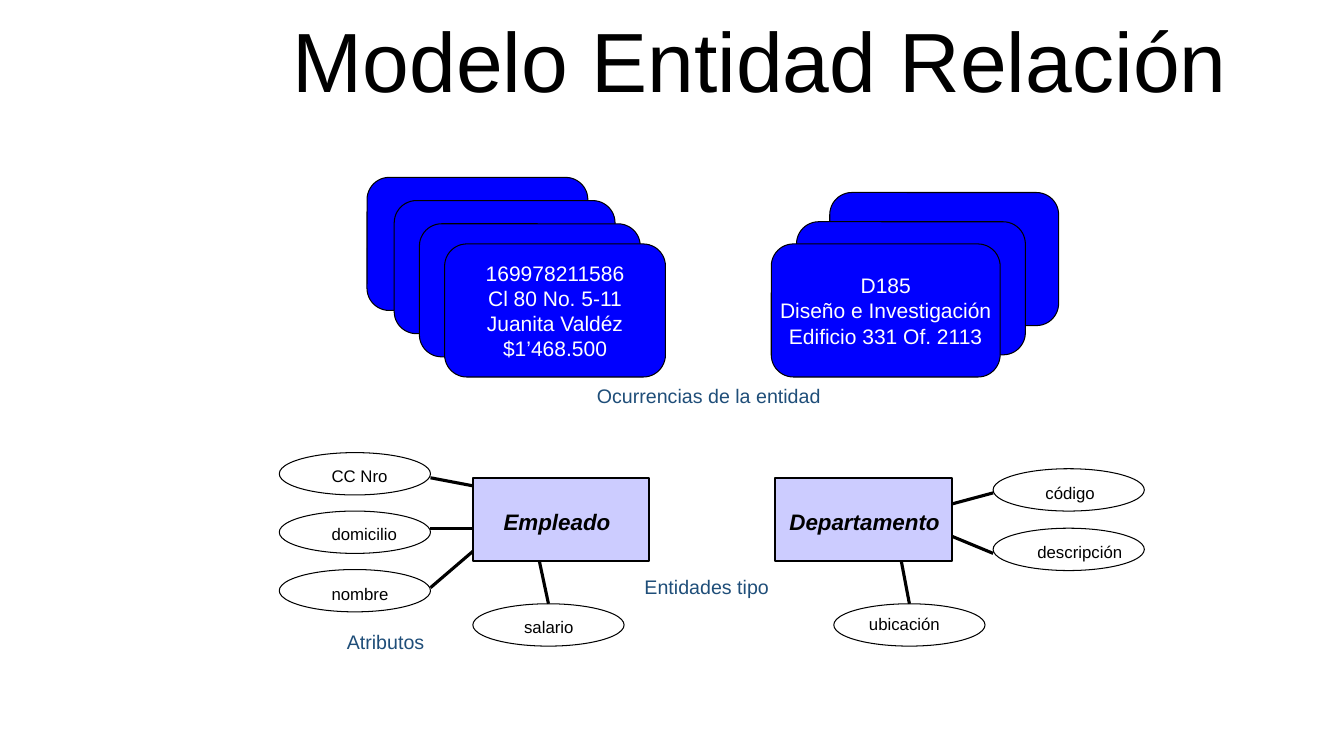
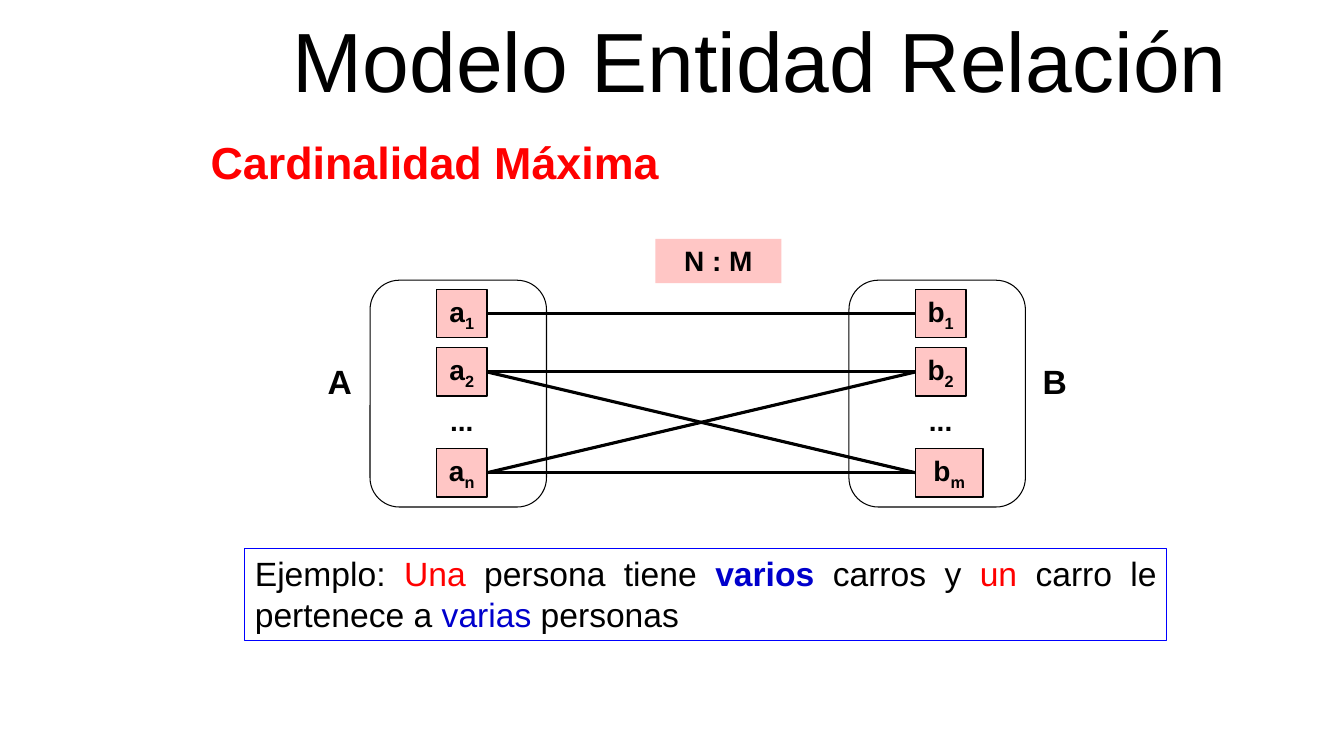
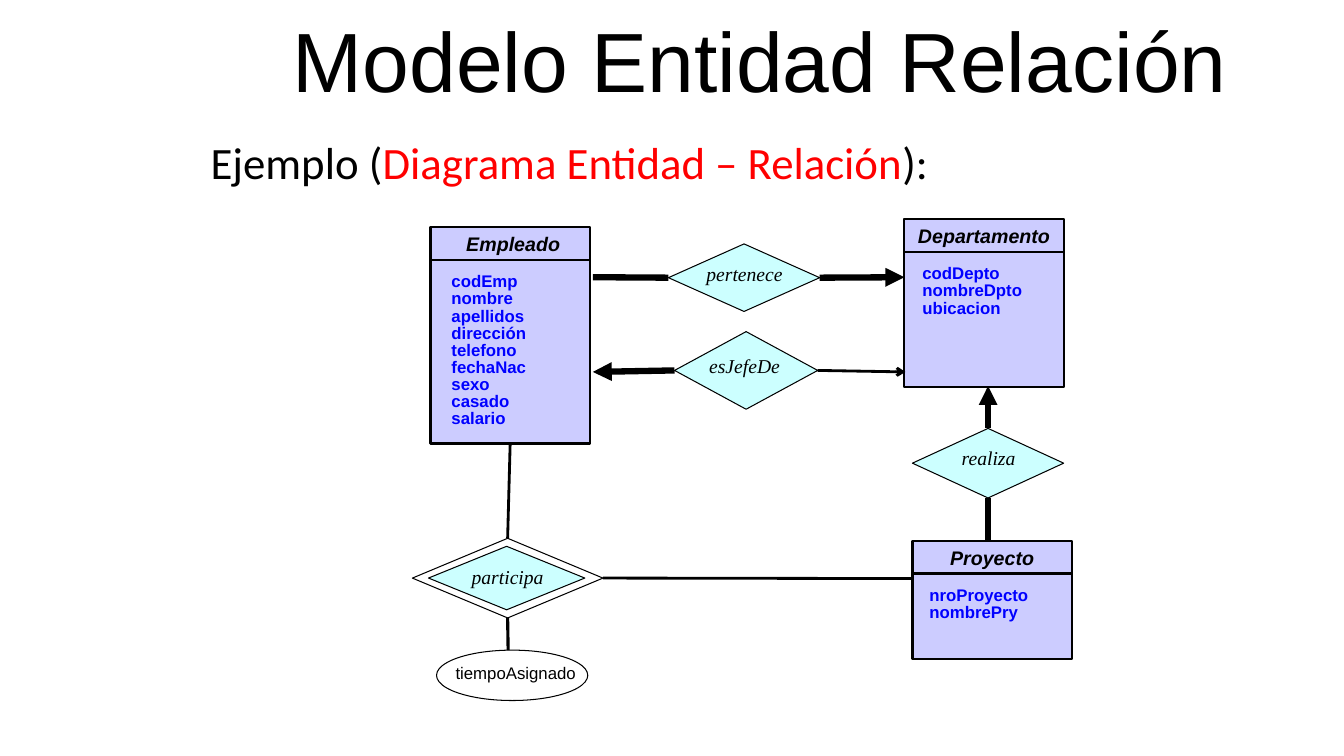
from dataclasses import dataclass, field, replace
from typing import Optional

import pptx
import pptx.dml.color
import pptx.enum.shapes
import pptx.enum.text
import pptx.oxml.ns
import pptx.util
from lxml import etree

Inches = pptx.util.Inches
Pt = pptx.util.Pt
Preset = pptx.enum.shapes.MSO_SHAPE
Align = pptx.enum.text.PP_ALIGN
Anchor = pptx.enum.text.MSO_ANCHOR
AutoSize = pptx.enum.text.MSO_AUTO_SIZE


@dataclass(frozen=True)
class TextStyle:
    size: float
    color: str = "000000"
    font: str = "Arial"
    bold: bool = False
    italic: bool = False
    align: Align = Align.CENTER
    line_spacing: Optional[float] = None


@dataclass(frozen=True)
class Theme:
    black: str = "000000"
    red: str = "FF0000"
    emphasis: str = "0000CC"
    card: str = "0000FF"
    entity: str = "CCCCFF"
    relation: str = "CCFFFF"
    member: str = "FFC6C5"
    hairline: float = 0.75
    member_line: float = 1
    entity_line: float = 1.5
    thin_link: float = 2
    link: float = 2.25
    thick_link: float = 4.5
    title: TextStyle = TextStyle(60, line_spacing=0.9)
    heading: TextStyle = TextStyle(32, red, bold=True, align=Align.LEFT)
    example_heading: TextStyle = TextStyle(32, font="Calibri", align=Align.LEFT)
    card_text: TextStyle = TextStyle(15, "FFFFFF")
    caption: TextStyle = TextStyle(14, "1F4E79")
    entity_type: TextStyle = TextStyle(16, bold=True, italic=True)
    entity_name: TextStyle = TextStyle(14, bold=True, italic=True)
    attribute: TextStyle = TextStyle(12, align=Align.LEFT)
    field_list: TextStyle = TextStyle(12, card, bold=True, align=Align.LEFT, line_spacing=0.85)
    relation_name: TextStyle = TextStyle(14, font="Times New Roman", italic=True, line_spacing=0.95)
    member_text: TextStyle = TextStyle(20, bold=True)
    set_name: TextStyle = TextStyle(24, bold=True)
    example: TextStyle = TextStyle(24, align=Align.JUSTIFY)


THEME = Theme()


@dataclass(frozen=True)
class Box:
    left: float
    top: float
    width: float
    height: float

    def inches(self) -> tuple:
        return tuple(Inches(v) for v in (self.left, self.top, self.width, self.height))


@dataclass(frozen=True)
class Span:
    """A stretch of text that may differ from the style of its paragraph."""
    text: str
    color: Optional[str] = None
    bold: Optional[bool] = None
    subscript: bool = False


@dataclass(frozen=True)
class Attribute:
    name: str
    oval: Box
    label: Box


@dataclass(frozen=True)
class Stack:
    """Cards from back to front; the front one carries the lines."""
    corners: list
    width: float
    lines: list


@dataclass(frozen=True)
class Entity:
    name: str
    box: Box
    name_left: float
    rule_top: float
    fields_left: float
    fields: list = field(default_factory=list)


@dataclass(frozen=True)
class Relation:
    name: str
    diamond: Box
    label_left: float
    label_top: float


def rgb(color: str):
    return pptx.dml.color.RGBColor.from_string(color)


def write(shape, paragraphs: list, style: TextStyle, anchor=Anchor.TOP, wrap: bool = True) -> None:
    """Fill a shape with paragraphs, each a string or a list of Spans."""
    frame = shape.text_frame
    frame.word_wrap = wrap
    frame.vertical_anchor = anchor
    for index, content in enumerate(paragraphs):
        paragraph = frame.paragraphs[0] if index == 0 else frame.add_paragraph()
        paragraph.alignment = style.align
        if style.line_spacing:
            paragraph.line_spacing = style.line_spacing
        font = paragraph.font
        font.size, font.name = Pt(style.size), style.font
        font.bold, font.italic = style.bold, style.italic
        spans = [Span(content)] if isinstance(content, str) else content
        mixed = any(span.color for span in spans)
        if not mixed:
            font.color.rgb = rgb(style.color)
        for span in spans:
            run = paragraph.add_run()
            run.text = span.text
            if mixed:
                run.font.color.rgb = rgb(span.color or style.color)
            if span.bold is not None:
                run.font.bold = span.bold
            if span.subscript:
                run._r.get_or_add_rPr().set("baseline", "-25000")


def add_label(slide, box: Box, content, style: TextStyle, anchor=Anchor.TOP, wrap: bool = True):
    label = slide.shapes.add_textbox(*box.inches())
    write(label, content if isinstance(content, list) else [content], style, anchor, wrap)
    if not wrap:
        label.text_frame.auto_size = AutoSize.SHAPE_TO_FIT_TEXT
    return label


def add_figure(slide, preset, box: Box, fill: Optional[str] = None,
               line_width: float = THEME.hairline, line: Optional[str] = THEME.black):
    figure = slide.shapes.add_shape(preset, *box.inches())
    figure.shadow.inherit = False
    if fill:
        figure.fill.solid()
        figure.fill.fore_color.rgb = rgb(fill)
    else:
        figure.fill.background()
    if line:
        figure.line.color.rgb = rgb(line)
        figure.line.width = Pt(line_width)
    else:
        figure.line.fill.background()
    return figure


def add_link(slide, start: tuple, end: tuple, width: float = THEME.link, arrow: Optional[str] = None):
    """Draw a line; each end is an (x, y) point or a (shape, side) pair."""
    link = slide.shapes.add_connector(pptx.enum.shapes.MSO_CONNECTOR.STRAIGHT, 0, 0, 0, 0)
    (link.begin_x, link.begin_y), (link.end_x, link.end_y) = (
        (0, 0) if hasattr(point[0], "shape_id") else tuple(Inches(v) for v in point)
        for point in (start, end))
    if hasattr(start[0], "shape_id"):
        link.begin_connect(*start)
    if hasattr(end[0], "shape_id"):
        link.end_connect(*end)
    link.line.color.rgb = rgb(THEME.black)
    link.line.width = Pt(width)
    qn = pptx.oxml.ns.qn
    if arrow:
        etree.SubElement(link.line._get_or_add_ln(), qn("a:tailEnd"), type=arrow)
    etree.SubElement(link._element.spPr, qn("a:effectLst"))
    return link


def add_titled_slide(deck):
    slide = deck.slides.add_slide(deck.slide_layouts[6])
    add_label(slide, Box(1.99, 0, 11.09, 1.29), "Modelo Entidad Relación", THEME.title, Anchor.MIDDLE)
    return slide


def add_heading(slide, content, style: TextStyle) -> None:
    add_label(slide, Box(1.99, 1.29, 10.41, 0.64), [content], style)


def add_stack(slide, stack: Stack) -> None:
    for left, top in stack.corners:
        card = add_figure(slide, Preset.ROUNDED_RECTANGLE, Box(left, top, stack.width, 1.32), THEME.card)
    write(card, stack.lines, THEME.card_text, Anchor.MIDDLE, wrap=False)


def add_attribute(slide, attribute: Attribute) -> None:
    add_figure(slide, Preset.OVAL, attribute.oval)
    add_label(slide, attribute.label, attribute.name, THEME.attribute, wrap=False)


def add_entity(slide, entity: Entity):
    box = entity.box
    frame = add_figure(slide, Preset.RECTANGLE, box, THEME.entity, THEME.entity_line)
    add_label(slide, Box(entity.name_left, box.top, box.width, 0.34), entity.name, THEME.entity_name)
    add_link(slide, (box.left, entity.rule_top), (box.left + box.width, entity.rule_top), THEME.entity_line)
    height = 0.1 + 0.17 * len(entity.fields)
    add_label(slide, Box(entity.fields_left, entity.rule_top + 0.09, 1.33, height),
              entity.fields, THEME.field_list)
    return frame


def add_relation(slide, relation: Relation):
    diamond = add_figure(slide, Preset.DIAMOND, relation.diamond, THEME.relation)
    add_label(slide, Box(relation.label_left, relation.label_top, 1.25, 0.33), relation.name,
              THEME.relation_name, Anchor.MIDDLE)
    return diamond


def build_occurrences(deck) -> None:
    slide = add_titled_slide(deck)
    stacks = [
        Stack([(3.64, 1.76), (3.91, 1.99), (4.16, 2.22), (4.41, 2.42)], 2.19,
              ["169978211586", "Cl 80 No. 5-11", "Juanita Valdéz", "$1’468.500"]),
        Stack([(8.23, 1.91), (7.9, 2.2), (7.65, 2.42)], 2.27,
              ["D185", "Diseño e Investigación", "Edificio 331 Of. 2113"]),
    ]
    for stack in stacks:
        add_stack(slide, stack)

    for name, left, label_left, label_width in (("Empleado", 4.69, 4.86, 1.33),
                                                ("Departamento", 7.69, 7.69, 1.77)):
        add_figure(slide, Preset.RECTANGLE, Box(left, 4.74, 1.75, 0.83), THEME.entity, THEME.entity_line)
        add_label(slide, Box(label_left, 4.99, label_width, 0.37), name, THEME.entity_type)

    attributes = [
        ("CC Nro", 2.77, 4.49, 3.19, 4.57, 0.76),
        ("domicilio", 2.77, 5.07, 3.19, 5.15, 0.85),
        ("nombre", 2.77, 5.65, 3.19, 5.74, 0.77),
        ("salario", 4.69, 5.99, 5.1, 6.07, 0.69),
        ("código", 9.85, 4.65, 10.27, 4.74, 0.69),
        ("descripción", 9.85, 5.24, 10.19, 5.32, 1.05),
        ("ubicación", 8.27, 5.99, 8.52, 6.04, 0.91),
    ]
    for name, left, top, label_left, label_top, label_width in attributes:
        add_attribute(slide, Attribute(name, Box(left, top, 1.5, 0.42),
                                       Box(label_left, label_top, label_width, 0.31)))

    for start, end in (
        ((4.27, 4.74), (4.69, 4.82)),
        ((4.27, 5.24), (4.69, 5.24)),
        ((4.27, 5.83), (4.69, 5.47)),
        ((5.35, 5.57), (5.44, 5.99)),
        ((9.44, 5), (9.85, 4.89)),
        ((9.44, 5.32), (9.85, 5.49)),
        ((8.94, 5.57), (9.02, 5.99)),
    ):
        add_link(slide, start, end)

    for caption, left, top, width in (("Ocurrencias de la entidad", 5.79, 3.76, 2.48),
                                      ("Entidades tipo", 6.19, 5.65, 1.64),
                                      ("Atributos", 3.16, 6.2, 1.33)):
        add_label(slide, Box(left, top, width, 0.34), caption, THEME.caption)


def build_cardinality(deck) -> None:
    slide = add_titled_slide(deck)
    add_heading(slide, "Cardinalidad Máxima", THEME.heading)
    ratio = add_figure(slide, Preset.RECTANGLE, Box(6.5, 2.37, 1.25, 0.44), THEME.member, line=None)
    write(ratio, ["N : M"], THEME.member_text)

    members = {}
    for letter, last, last_width, left, name_left in (("a", "n", 0.5, 3.67, 3.08),
                                                      ("b", "m", 0.67, 8.42, 10.17)):
        add_figure(slide, Preset.ROUNDED_RECTANGLE, Box(left, 2.78, 1.75, 2.25))
        member_left = left + 0.66
        for index, top, width in (("1", 2.87, 0.5), ("2", 3.45, 0.5), (last, 4.45, last_width)):
            member = add_figure(slide, Preset.RECTANGLE, Box(member_left, top, width, 0.48),
                                THEME.member, THEME.member_line)
            write(member, [[Span(letter), Span(index, subscript=True)]], THEME.member_text)
            members[letter + index] = member
        add_label(slide, Box(member_left, 3.95, 0.5, 0.44), "...", THEME.member_text)
        add_label(slide, Box(name_left, 3.53, 0.58, 0.5), letter.upper(), THEME.set_name)

    for source, target in (("a1", "b1"), ("a2", "b2"), ("an", "bm"), ("an", "b2"), ("a2", "bm")):
        add_link(slide, (members[source], 3), (members[target], 1))

    example = add_figure(slide, Preset.RECTANGLE, Box(2.43, 5.44, 9.14, 0.91), line=THEME.card)
    write(example, [[
        Span("Ejemplo: "), Span("Una", THEME.red), Span(" persona tiene "),
        Span("varios ", THEME.emphasis, bold=True), Span("carros y "), Span("un", THEME.red),
        Span(" carro le pertenece a "), Span("varias ", THEME.emphasis), Span("personas"),
    ]], THEME.example)


def build_diagram(deck) -> None:
    slide = add_titled_slide(deck)
    add_heading(slide, [Span("Ejemplo ("), Span("Diagrama Entidad – Relación", THEME.red), Span("):")],
                THEME.example_heading)

    employee = add_entity(slide, Entity(
        "Empleado", Box(4.27, 2.25, 1.58, 2.15), 4.3, 2.58, 4.38,
        ["codEmp", "nombre", "apellidos", "dirección", "telefono", "fechaNac", "sexo", "casado", "salario"]))
    add_entity(slide, Entity("Departamento", Box(8.97, 2.17, 1.58, 1.67), 8.97, 2.5, 9.05,
                             ["codDepto", "nombreDpto", "ubicacion"]))
    add_entity(slide, Entity("Proyecto", Box(9.05, 5.37, 1.58, 1.17), 9.05, 5.69, 9.12,
                             ["nroProyecto", "nombrePry"]))

    belongs = add_relation(slide, Relation("pertenece", Box(6.63, 2.42, 1.5, 0.67), 6.76, 2.56))
    heads = add_relation(slide, Relation("esJefeDe", Box(6.69, 3.29, 1.42, 0.77), 6.76, 3.47))
    carries_out = add_relation(slide, Relation("realiza", Box(9.05, 4.25, 1.5, 0.69), 9.18, 4.39))
    add_relation(slide, Relation("participa", Box(4.25, 5.42, 1.55, 0.63), 4.41, 5.57))
    takes_part = add_figure(slide, Preset.DIAMOND, Box(4.09, 5.34, 1.89, 0.79))
    add_attribute(slide, Attribute("tiempoAsignado", Box(4.33, 6.45, 1.5, 0.5), Box(4.42, 6.53, 1.4, 0.3)))

    for start, end, width, arrow in (
        ((5.88, 2.75), (belongs, 1), THEME.thick_link, None),
        ((belongs, 3), (8.97, 2.75), THEME.thick_link, "triangle"),
        ((heads, 1), (5.88, 3.69), THEME.thick_link, "triangle"),
        ((heads, 3), (8.98, 3.69), THEME.thin_link, "arrow"),
        ((carries_out, 0), (9.8, 3.83), THEME.thick_link, "triangle"),
        ((carries_out, 2), (9.8, 5.37), THEME.thick_link, None),
        ((employee, 2), (takes_part, 0), THEME.thin_link, None),
        ((takes_part, 3), (9.06, 5.74), THEME.thin_link, None),
        ((takes_part, 2), (5.04, 6.45), THEME.link, None),
    ):
        add_link(slide, start, end, width, arrow)


def main() -> None:
    deck = pptx.Presentation()
    deck.slide_width, deck.slide_height = Inches(13.33), Inches(7.5)
    build_occurrences(deck)
    build_cardinality(deck)
    build_diagram(deck)
    deck.save("out.pptx")


if __name__ == "__main__":
    main()
